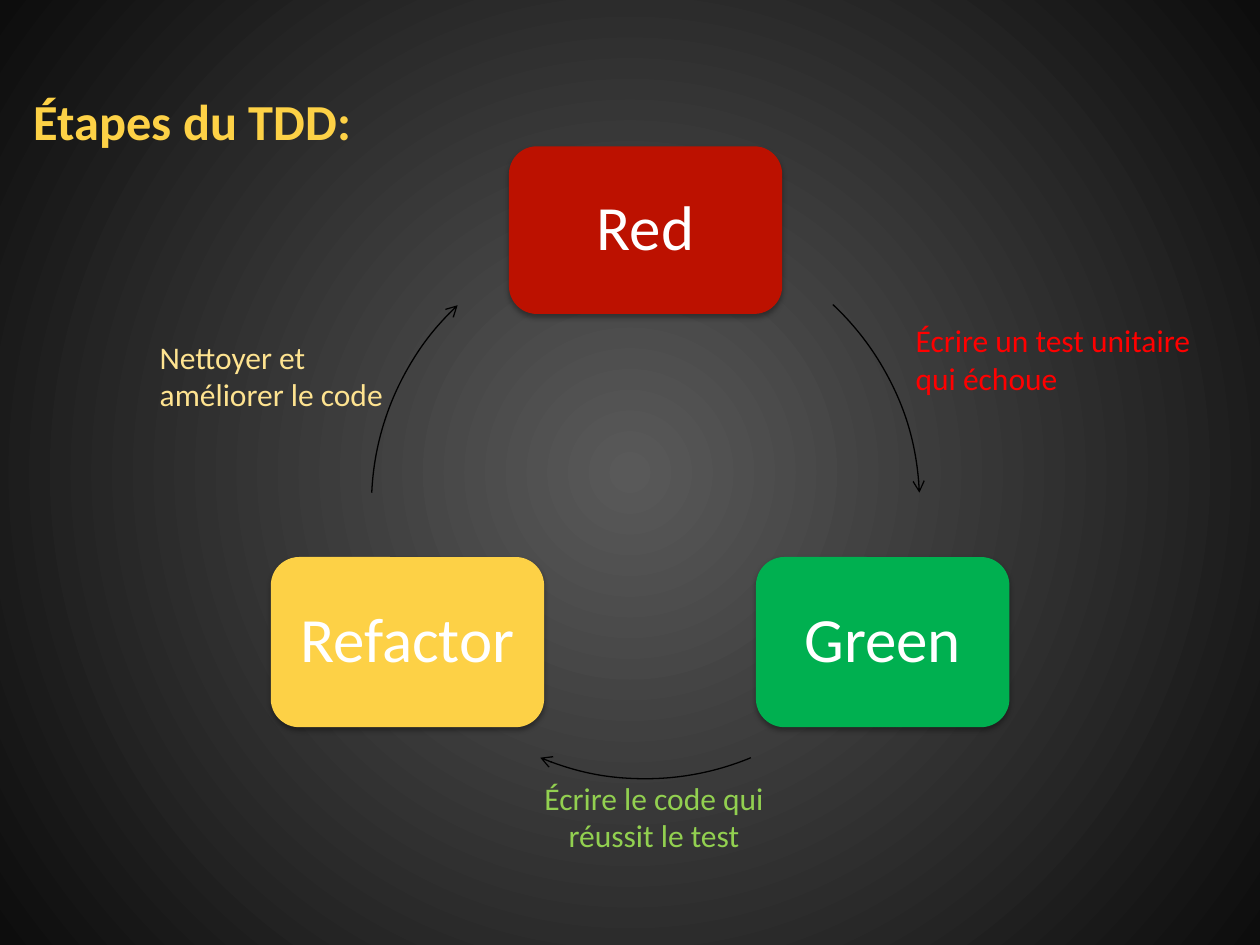
from lxml import etree
from pptx import Presentation
from pptx.dml.color import RGBColor
from pptx.enum.shapes import MSO_SHAPE
from pptx.enum.text import MSO_ANCHOR, MSO_AUTO_SIZE, PP_ALIGN
from pptx.oxml.ns import qn
from pptx.util import Cm, Pt

ROUNDED, ARC = MSO_SHAPE.ROUNDED_RECTANGLE, MSO_SHAPE.ARC
LEFT, CENTER = PP_ALIGN.LEFT, PP_ALIGN.CENTER
MIDDLE = MSO_ANCHOR.MIDDLE
FONT = "Calibri"

STEPS = [  # name, colour, left, top, width, height in cm
    ("Red", "BC1100", 10.26, 2.95, 5.51, 3.38),
    ("Green", "00B050", 15.24, 11.23, 5.11, 3.43),
    ("Refactor", "FDD146", 5.46, 11.23, 5.51, 3.43),
]
ARROW_ANGLES = [(313.1, 357.5), (67.4, 112.6), (182.5, 226.7)]
LABELS = [  # text, colour, left, top in cm, alignment
    ("Écrire un test unitaire qui échoue", "FF0000", 18.21, 6.35, LEFT),
    ("Écrire le code qui réussit le test", "92D050", 10.16, 15.57, CENTER),
    ("Nettoyer et améliorer le code", "FEE390", 2.97, 6.68, LEFT),
]


def color(hex_code):
    return RGBColor.from_string(hex_code)


def write(frame, text, size, hex_code, align, bold=False):
    frame.word_wrap = True
    para = frame.paragraphs[0]
    para.alignment = align
    span = para.add_run()
    span.text = text
    span.font.name = FONT
    span.font.size = Pt(size)
    span.font.bold = bold
    span.font.color.rgb = color(hex_code)
    return para


def set_background(page):
    """Radial gradient, light in the centre and dark at the corners."""
    fill = page.background.fill
    fill.gradient()
    for stop, position, hex_code in zip(fill.gradient_stops, (0, 1), ("595959", "0D0D0D")):
        stop.position = position
        stop.color.rgb = color(hex_code)
    gradient = next(page.element.iter(qn("a:gradFill")))
    gradient.remove(gradient.find(qn("a:lin")))
    circle = etree.SubElement(gradient, qn("a:path"), path="circle")
    etree.SubElement(circle, qn("a:fillToRect"), l="50000", t="50000", r="50000", b="50000")


def add_title(page, text):
    title = page.shapes.title
    title.left, title.top, title.width, title.height = Cm(0.43), Cm(1.7), Cm(21.59), Cm(1.47)
    frame = title.text_frame
    frame.auto_size = MSO_AUTO_SIZE.NONE
    frame.vertical_anchor = MIDDLE
    write(frame, text, 28.8, "FDD146", LEFT, bold=True)


def add_shadow(shape):
    shape.shadow.inherit = False
    effects = next(shape.element.iter(qn("a:effectLst")))
    shadow = etree.SubElement(effects, qn("a:outerShdw"), blurRad=str(Pt(3.1)),
                              dist=str(Pt(1.8)), dir="5400000", rotWithShape="0")
    black = etree.SubElement(shadow, qn("a:srgbClr"), val="000000")
    etree.SubElement(black, qn("a:alpha"), val="35000")


def add_step(page, name, hex_code, left, top, width, height):
    box = page.shapes.add_shape(ROUNDED, Cm(left), Cm(top), Cm(width), Cm(height))
    box.fill.solid()
    box.fill.fore_color.rgb = color(hex_code)
    box.line.fill.background()
    add_shadow(box)
    frame = box.text_frame
    frame.vertical_anchor = MIDDLE
    frame.margin_left = frame.margin_right = Cm(0.38)
    frame.margin_top = frame.margin_bottom = Cm(0.38)
    para = write(frame, name, 36, "FFFFFF", CENTER)
    para.line_spacing = 0.9


def add_cycle_arrow(page, start, end):
    """Clockwise arc of the cycle between two angles in degrees."""
    arc = page.shapes.add_shape(ARC, Cm(7.49), Cm(4.65), Cm(11.05), Cm(11.05))
    for index, angle in enumerate((start, end)):
        arc.adjustments[index] = angle * 0.6  # 60000ths of a degree over 100000
    arc.fill.background()
    arc.line.color.rgb = color("000000")
    arc.line.width = Pt(0.75)
    arc.shadow.inherit = False
    line = next(arc.element.iter(qn("a:ln")))
    etree.SubElement(line, qn("a:tailEnd"), type="arrow")


def add_label(page, text, hex_code, left, top, align):
    box = page.shapes.add_textbox(Cm(left), Cm(top), Cm(6.05), Cm(1.8))
    write(box.text_frame, text, 18, hex_code, align)


def main():
    deck = Presentation()
    deck.slide_width, deck.slide_height = Cm(25.4), Cm(19.05)
    page = deck.slides.add_slide(deck.slide_layouts[0])
    subtitle = page.placeholders[1].element
    subtitle.getparent().remove(subtitle)

    set_background(page)
    add_title(page, "Étapes du TDD:")
    for step, angles in zip(STEPS, ARROW_ANGLES):
        add_step(page, *step)
        add_cycle_arrow(page, *angles)
    for label in LABELS:
        add_label(page, *label)
    deck.save("out.pptx")


if __name__ == "__main__":
    main()
